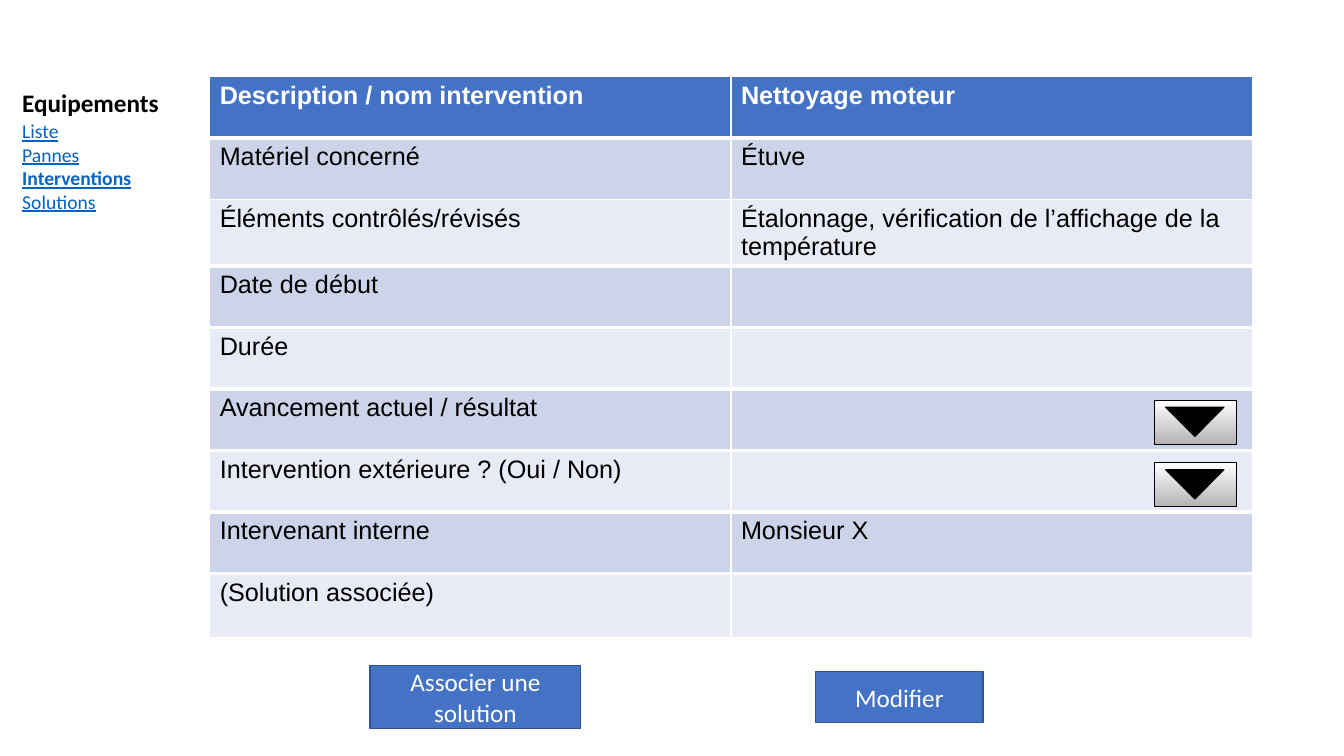
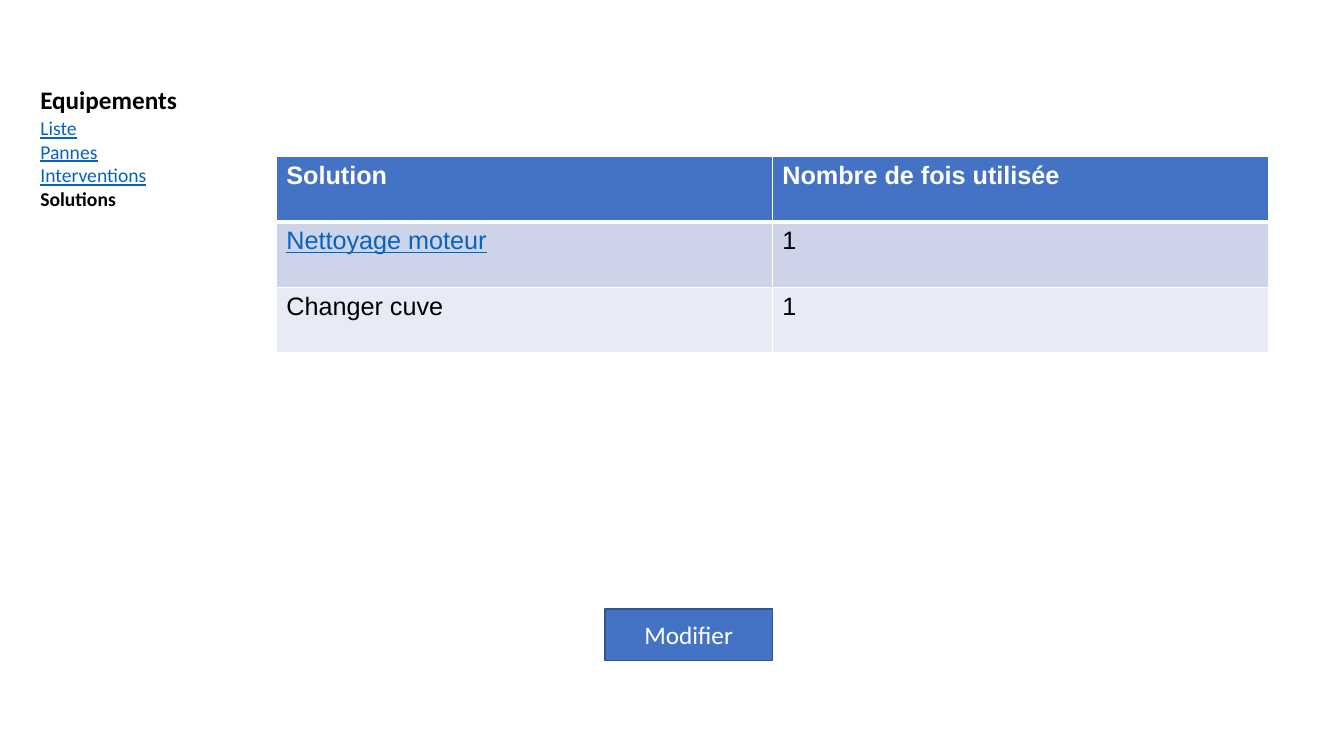
from pptx import Presentation
from pptx.dml.color import RGBColor
from pptx.enum.shapes import MSO_SHAPE as Preset
from pptx.enum.text import MSO_ANCHOR as Anchor, MSO_AUTO_SIZE as AutoSize, PP_ALIGN as Align
from pptx.oxml.ns import qn
from pptx.util import Pt
from lxml.etree import SubElement

PX = 9144
COLORS = {
    "blue": "4472C4", "edge": "31538F", "link": "0563C1",
    "band": "CDD4EA", "pale": "E8EBF5",
    "white": "FFFFFF", "black": "000000", "gray": "B3B3B3",
}
MENU_ITEMS = ["Liste", "Pannes", "Interventions", "Solutions"]
HEADING = {"name": "Calibri", "size": Pt(18), "bold": True, "color": "black"}
ITEM = {"name": "Calibri", "size": Pt(14), "bold": False, "color": "black"}
BUTTON = {"name": "Calibri", "size": Pt(18), "color": "white"}
HEADER_CELL = {"name": "Arial", "size": Pt(18), "bold": True, "color": "white"}
BODY_CELL = {**HEADER_CELL, "bold": False, "color": "black"}
LINK = {"color": "link", "underline": True}
HEADING_HEIGHT = 36


def px(*lengths):
    return [length * PX for length in lengths]


def rgb(name):
    return RGBColor.from_string(COLORS[name])


def set_attributes(target, values):
    for name, value in values.items():
        setattr(target, name, value)


def write(para, text, style):
    span = para.add_run()
    span.text = text
    set_attributes(span.font, {key: value for key, value in style.items() if key != "color"})
    span.font.color.rgb = rgb(style["color"])


def prepare_frame(holder, box, margin_top, margin_bottom):
    set_attributes(holder, dict(zip(("left", "top", "width", "height"), px(*box))))
    set_attributes(holder.text_frame, {
        "word_wrap": True, "auto_size": AutoSize.NONE, "vertical_anchor": Anchor.TOP,
        "margin_left": 10 * PX, "margin_right": 10 * PX,
        "margin_top": margin_top * PX, "margin_bottom": margin_bottom * PX,
    })
    return holder.text_frame


def add_menu(page, box, styles):
    left, top, width, height = box
    title, body = page.shapes.title, page.placeholders[1]
    heading = prepare_frame(title, (left, top, width, HEADING_HEIGHT), 5, 0).paragraphs[0]
    heading.alignment = Align.LEFT
    write(heading, "Equipements", HEADING)
    frame = prepare_frame(body, (left, top + HEADING_HEIGHT, width, height - HEADING_HEIGHT), 0, 5)
    for index, text in enumerate(MENU_ITEMS):
        para = frame.add_paragraph() if index else frame.paragraphs[0]
        set_attributes(para, {"space_before": Pt(0), "space_after": Pt(0), "line_spacing": 1.0})
        properties = para._p.get_or_add_pPr()
        properties.set("marL", "0")
        properties.set("indent", "0")
        SubElement(properties, qn("a:buNone"))
        write(para, text, {**ITEM, **styles.get(text, LINK)})


def add_border(cell, side, points):
    line = SubElement(cell._tc.get_or_add_tcPr(), qn("a:ln" + side), w=str(Pt(points)))
    fill = SubElement(line, qn("a:solidFill"))
    SubElement(fill, qn("a:srgbClr"), val=COLORS["white"])


def add_grid(page, left, top, column_width, row_heights, rows, thick_rules, links=()):
    columns = len(rows[0])
    box = px(left, top, column_width * columns, sum(row_heights))
    table = page.shapes.add_table(len(rows), columns, *box).table
    for column in table.columns:
        column.width = column_width * PX
    for index, texts in enumerate(rows):
        table.rows[index].height = row_heights[index] * PX
        fill = "blue" if index == 0 else ("band" if index % 2 else "pale")
        widths = {"L": 1, "R": 1,
                  "T": 3 if index in thick_rules else 1,
                  "B": 3 if index + 1 in thick_rules else 1}
        for column, text in enumerate(texts):
            cell = table.cell(index, column)
            for side, points in widths.items():
                add_border(cell, side, points)
            cell.fill.solid()
            cell.fill.fore_color.rgb = rgb(fill)
            if text:
                style = BODY_CELL if index else HEADER_CELL
                extra = LINK if text in links else {}
                write(cell.text_frame.paragraphs[0], text, {**style, **extra})


def add_preset(shapes, preset, box, line, points, fill=None):
    shape = shapes.add_shape(preset, *px(*box))
    shape.shadow.inherit = False
    shape.line.color.rgb = rgb(line)
    shape.line.width = Pt(points)
    if fill:
        shape.fill.solid()
        shape.fill.fore_color.rgb = rgb(fill)
    return shape


def add_button(page, box, text):
    button = add_preset(page.shapes, Preset.RECTANGLE, box, "edge", 1, "blue")
    frame = button.text_frame
    set_attributes(frame, {"word_wrap": True, "vertical_anchor": Anchor.MIDDLE})
    frame.paragraphs[0].alignment = Align.CENTER
    write(frame.paragraphs[0], text, BUTTON)


def add_dropdown(page, left, top):
    group = page.shapes.add_group_shape()
    face = add_preset(group.shapes, Preset.RECTANGLE, (left, top, 81, 44), "black", 0.75)
    face.fill.gradient()
    face.fill.gradient_angle = 270
    for stop, color, position in zip(face.fill.gradient_stops, ("white", "gray"), (0, 1)):
        stop.color.rgb = rgb(color)
        stop.position = position
    arrow_box = (left + 11, top + 7, 58, 29)
    arrow = add_preset(group.shapes, Preset.ISOSCELES_TRIANGLE, arrow_box, "black", 0.75, "black")
    arrow.rotation = 180


def build_intervention(page):
    rows = [
        ("Description / nom intervention", "Nettoyage moteur"),
        ("Matériel concerné", "Étuve"),
        ("Éléments contrôlés/révisés", "Étalonnage, vérification de l’affichage de la température"),
        ("Date de début", ""),
        ("Durée", ""),
        ("Avancement actuel / résultat", ""),
        ("Intervention extérieure ? (Oui / Non)", ""),
        ("Intervenant interne", "Monsieur X"),
        ("(Solution associée)", ""),
    ]
    add_grid(page, 208, 76, 517, [61] * 8 + [64], rows, {1, *range(3, 9)})
    add_menu(page, (12, 82, 258, 182), {"Interventions": {**LINK, "bold": True}})
    for top in (397, 459):
        add_dropdown(page, 1145, top)
    add_button(page, (809, 666, 166, 51), "Modifier")
    add_button(page, (367, 660, 209, 63), "Associer une solution")


def build_solutions(page):
    rows = [
        ("Solution", "Nombre de fois utilisée"),
        ("Nettoyage moteur", "1"),
        ("Changer cuve", "1"),
    ]
    add_grid(page, 274, 155, 492, [65] * 3, rows, {1}, links=("Nettoyage moteur",))
    add_menu(page, (30, 79, 258, 182), {"Solutions": {"bold": True}})
    add_button(page, (600, 604, 166, 51), "Modifier")


def main():
    deck = Presentation()
    deck.slide_width, deck.slide_height = px(1333, 750)
    for build in (build_intervention, build_solutions):
        build(deck.slides.add_slide(deck.slide_layouts[1]))
    deck.save("out.pptx")


if __name__ == "__main__":
    main()
